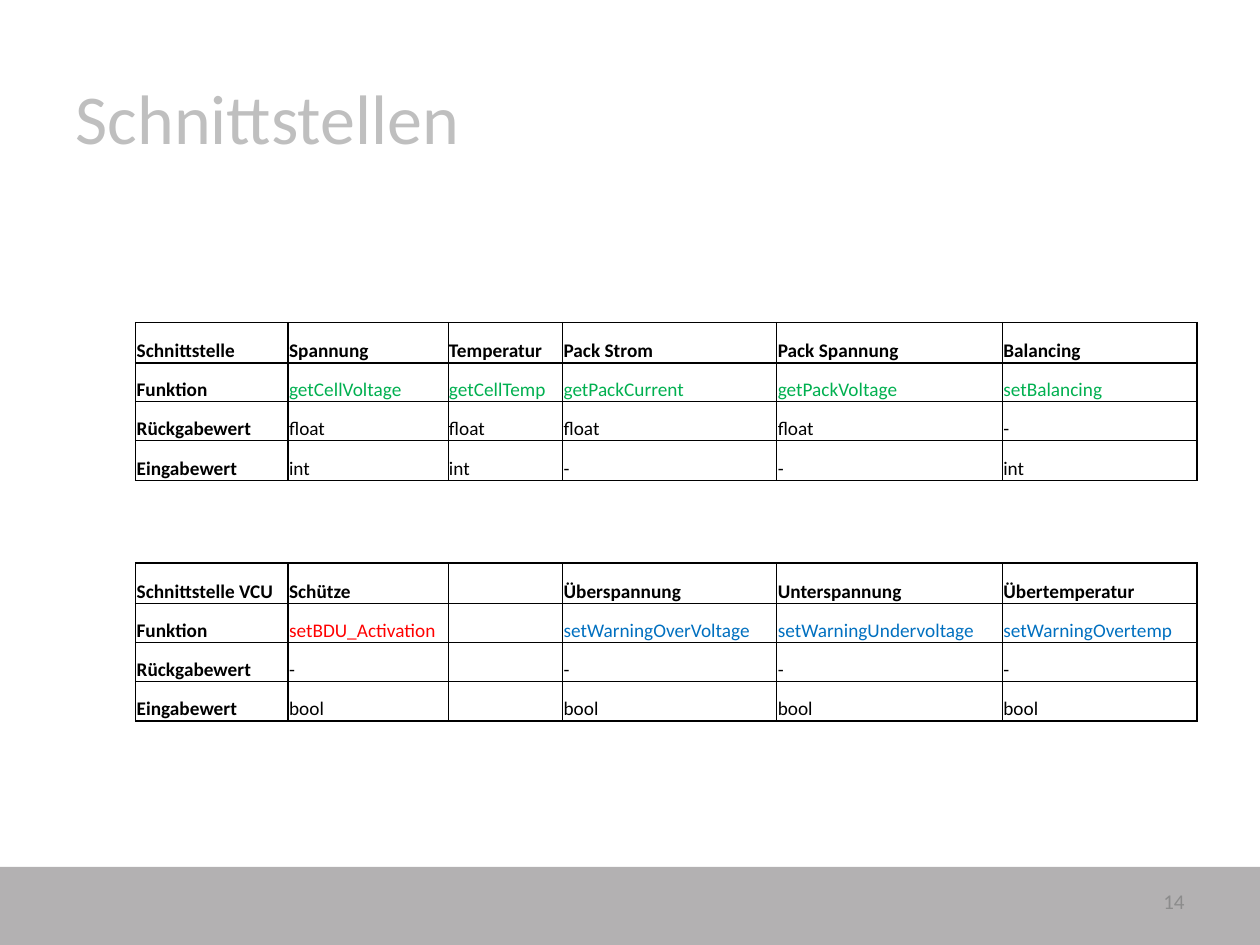
from dataclasses import dataclass

from lxml import etree
from pptx import Presentation
from pptx.dml.color import RGBColor
from pptx.enum.shapes import MSO_SHAPE
from pptx.enum.text import MSO_ANCHOR, PP_ALIGN
from pptx.oxml.ns import qn
from pptx.util import Pt

RECT = MSO_SHAPE.RECTANGLE
MIDDLE, BOTTOM = MSO_ANCHOR.MIDDLE, MSO_ANCHOR.BOTTOM
LEFT, RIGHT = PP_ALIGN.LEFT, PP_ALIGN.RIGHT
FONT = "Calibri"
BLACK, GREEN, RED, BLUE = "000000", "00B050", "FF0000", "0070C0"
COLS = [87.1, 91.4, 65.5, 122.4, 128.9, 111.3]
ROWS = [23, 22.3, 22.3, 22.8]
THIN, THICK = 0.5, 1


@dataclass
class Grid:
    top: float
    cells: list[list[str]]
    colors: list[str]


GRIDS = [
    Grid(184.3, [
        ["Schnittstelle", "Spannung", "Temperatur", "Pack Strom", "Pack Spannung", "Balancing"],
        ["Funktion", "getCellVoltage", "getCellTemp", "getPackCurrent", "getPackVoltage", "setBalancing"],
        ["Rückgabewert", "float", "float", "float", "float", "-"],
        ["Eingabewert", "int", "int", "-", "-", "int"],
    ], [BLACK] + [GREEN] * 5),
    Grid(321.8, [
        ["Schnittstelle VCU", "Schütze", "", "Überspannung", "Unterspannung", "Übertemperatur"],
        ["Funktion", "setBDU_Activation", "", "setWarningOverVoltage",
         "setWarningUndervoltage", "setWarningOvertemp"],
        ["Rückgabewert", "-", "", "-", "-", "-"],
        ["Eingabewert", "bool", "", "bool", "bool", "bool"],
    ], [BLACK, RED, BLACK] + [BLUE] * 3),
]


def paint(color: str) -> RGBColor:
    return RGBColor.from_string(color)


def write(frame, text: str, size: float, color: str, bold: bool = False, align=LEFT) -> None:
    frame.text = text
    para = frame.paragraphs[0]
    para.alignment = align
    for run in para.runs:
        font = run.font
        font.name, font.size, font.bold = FONT, Pt(size), bold
        font.color.rgb = paint(color)
    if not text:
        etree.SubElement(para._p, qn("a:endParaRPr"), sz=str(size * 100))


def edge(cell, side: str, width: float) -> None:
    line = etree.SubElement(cell._tc.get_or_add_tcPr(), qn(f"a:ln{side}"), w=str(Pt(width)))
    fill = etree.SubElement(line, qn("a:solidFill"))
    etree.SubElement(fill, qn("a:srgbClr"), val=BLACK)


def draw(slide, grid: Grid) -> None:
    frame = slide.shapes.add_table(len(ROWS), len(COLS), Pt(77.5), Pt(grid.top),
                                   Pt(sum(COLS)), Pt(sum(ROWS)))
    table = frame.table
    table.first_row = table.horz_banding = False
    for col, width in zip(table.columns, COLS):
        col.width = Pt(width)
    for row, height in zip(table.rows, ROWS):
        row.height = Pt(height)
    for r, texts in enumerate(grid.cells):
        for c, text in enumerate(texts):
            cell = table.cell(r, c)
            color = grid.colors[c] if r == 1 else BLACK
            write(cell.text_frame, text, 11, color, r == 0 or c == 0)
            cell.margin_left = cell.margin_right = cell.margin_top = Pt(0.6)
            cell.margin_bottom = 0
            cell.vertical_anchor = BOTTOM
            heavy = {"L": c <= 1, "R": c in (0, len(COLS) - 1),
                     "T": r <= 1, "B": r in (0, len(ROWS) - 1)}
            for side, thick in heavy.items():
                edge(cell, side, THICK if thick else THIN)
            cell.fill.background()


def main() -> None:
    deck = Presentation()
    deck.slide_width, deck.slide_height = Pt(720), Pt(540)
    slide = deck.slides.add_slide(deck.slide_layouts[5])

    band = slide.shapes.add_shape(RECT, 0, Pt(495.3), Pt(720), Pt(44.7))
    band.shadow.inherit = False
    band.fill.solid()
    band.fill.fore_color.rgb = paint("B3B1B2")
    band.line.fill.background()

    title = slide.shapes.title
    title.left, title.top, title.width, title.height = Pt(36), Pt(21.6), Pt(648), Pt(90)
    title.text_frame.vertical_anchor = MIDDLE
    write(title.text_frame, "Schnittstellen", 40, "BFBFBF")

    for grid in GRIDS:
        draw(slide, grid)

    page = slide.shapes.add_textbox(Pt(516), Pt(500.5), Pt(168), Pt(28.8))
    page.text_frame.word_wrap = True
    page.text_frame.vertical_anchor = MIDDLE
    write(page.text_frame, "14", 12, "8C8C8C", align=RIGHT)

    deck.save("out.pptx")


if __name__ == "__main__":
    main()
